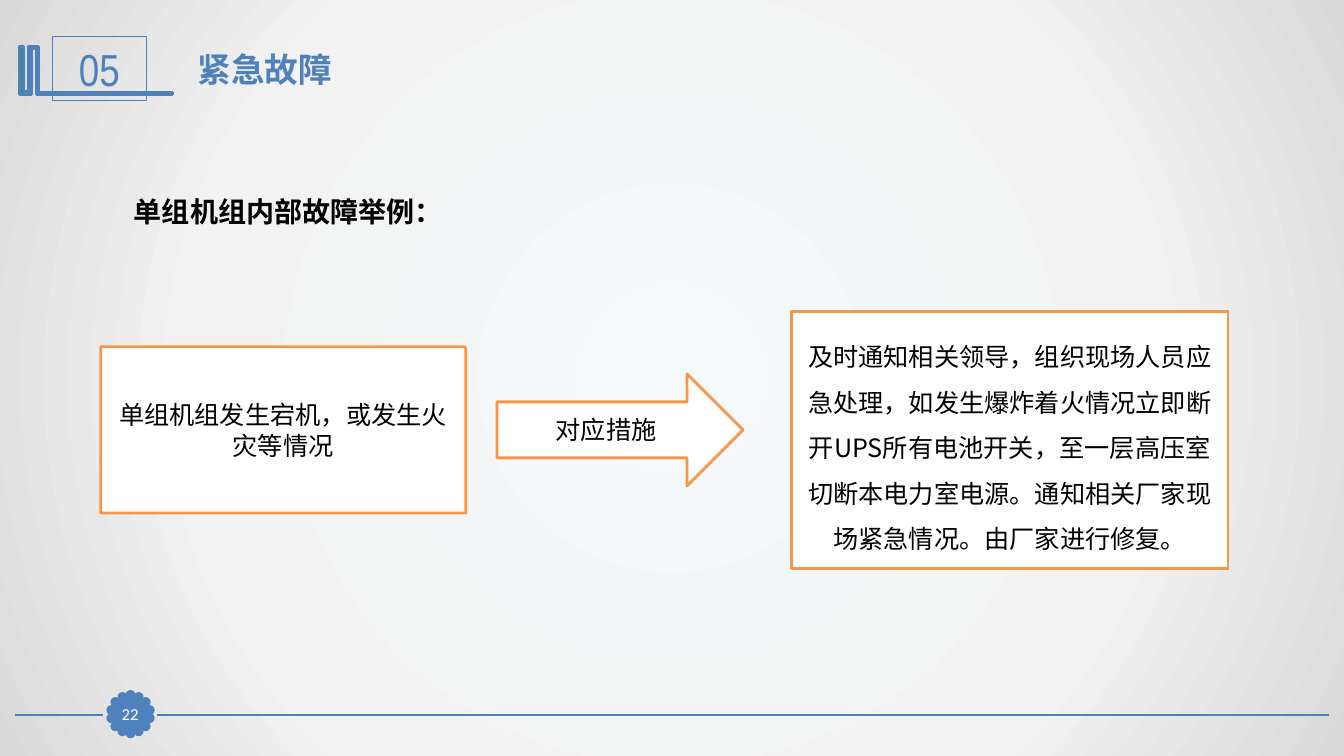
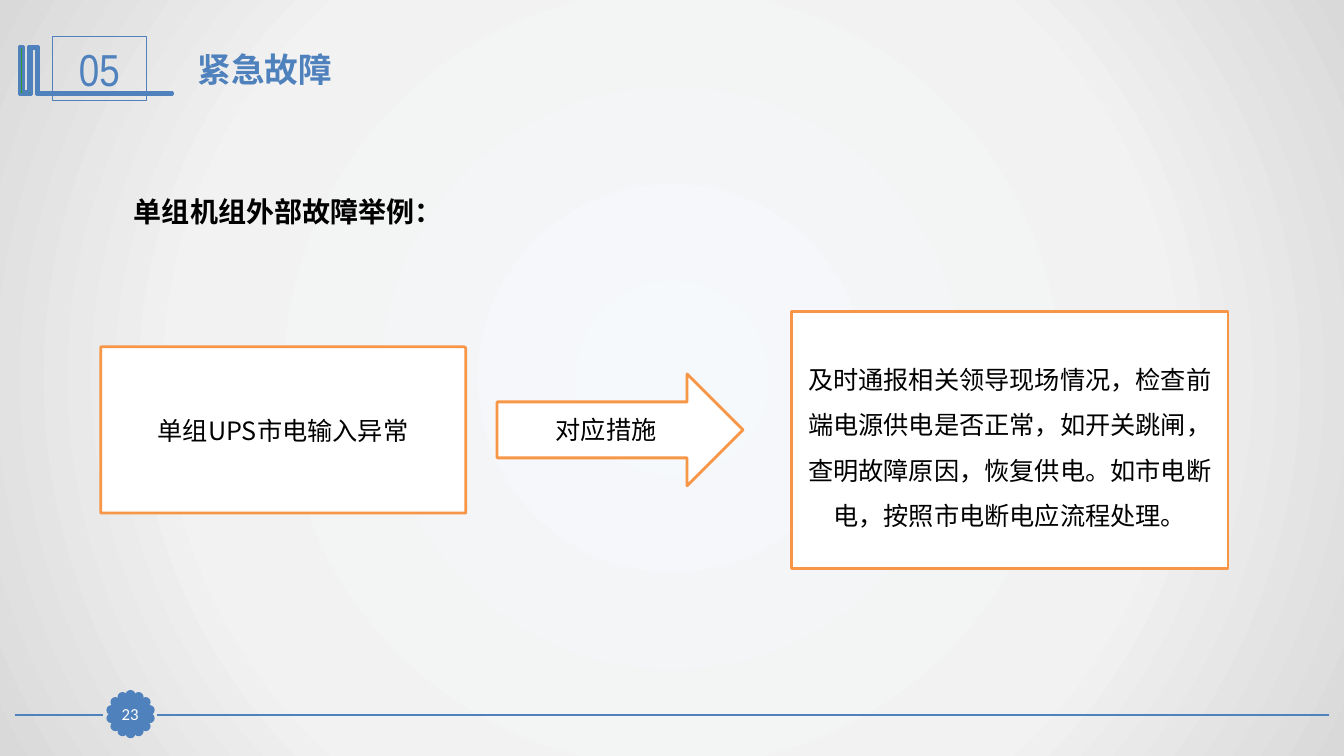
"""Build the two slides on urgent faults, with their frame held in the blank layout."""
import math
from dataclasses import dataclass
from typing import NamedTuple, Optional

import lxml.etree
import pptx
import pptx.dml.color
import pptx.enum.lang
import pptx.enum.shapes
import pptx.enum.text
import pptx.oxml
import pptx.oxml.ns
import pptx.util

SCALE = 9144
KIND = pptx.enum.shapes.MSO_SHAPE
ALIGN = pptx.enum.text.PP_ALIGN
LANG = pptx.enum.lang.MSO_LANGUAGE_ID


class Style(NamedTuple):
    """Hold the look of one kind of text."""
    size: int
    font: str
    ink: str
    bold: bool = False
    align: Optional[ALIGN] = ALIGN.CENTER
    space: Optional[float] = None


@dataclass(frozen=True)
class Theme:
    """Hold the colours and type styles."""
    blue: str = "4F81BD"
    orange: str = "F79646"
    green: str = "339933"
    white: str = "FFFFFF"
    glow: tuple = ((0, "F6F9FC"), (63, "F2F2F2"), (100, "D9D9D9"))
    asian: str = "Noto Sans CJK SC"
    title: Style = Style(24, "Calibri", "4F81BD", True, None)
    topic: Style = Style(20, "Calibri", "000000", True, None, 2.0)
    mark: Style = Style(32, "Arial Narrow", "4F81BD")
    page: Style = Style(12, "Calibri", "FFFFFF")
    body: Style = Style(18, "Noto Sans CJK SC", "000000")
    loose: Style = Style(18, "Noto Sans CJK SC", "000000", space=1.5)


@dataclass(frozen=True)
class Box:
    """Hold the place and paint of one shape."""
    kind: KIND
    left: int
    top: int
    width: int
    height: int
    fill: Optional[str]
    line: str
    weight: float
    bend: Optional[float] = None


class Case(NamedTuple):
    """Hold the words of one slide."""
    page: int
    topic: str
    fault: str
    action: str


THEME = Theme()
MARK = Box(KIND.RECTANGLE, 52, 36, 93, 64, None, THEME.blue, 0.75)
PAGE = Box(KIND.RECTANGLE, 113, 693, 32, 31, THEME.blue, THEME.blue, 0.75)
FAULT = Box(KIND.ROUND_1_RECTANGLE, 100, 344, 362, 165, THEME.white, THEME.orange, 2, 0.013)
ARROW = Box(KIND.RIGHT_ARROW, 493, 371, 244, 111, THEME.white, THEME.orange, 2)
ACTION = Box(KIND.ROUND_1_RECTANGLE, 785, 309, 433, 255, THEME.white, THEME.orange, 2, 0)
DOTS = 14
RING = 19
RULES = ((1318, 156), (102, 15))
BOOKS = ((37, 46), (38, 46), (38, 92), (171, 92), (171, 94), (36, 94), (36, 48),
         (31, 48), (31, 94), (19, 94), (19, 46), (23, 46), (23, 91), (28, 91), (28, 46))
CASES = (
    Case(22, "单组机组内部故障举例：", "单组机组发生宕机，或发生火灾等情况",
         "及时通知相关领导，组织现场人员应急处理，如发生爆炸着火情况立即断开UPS所有电池开关，"
         "至一层高压室切断本电力室电源。通知相关厂家现场紧急情况。由厂家进行修复。"),
    Case(23, "单组机组外部故障举例：", "单组UPS市电输入异常",
         "及时通报相关领导现场情况，检查前端电源供电是否正常，如开关跳闸，查明故障原因，"
         "恢复供电。如市电断电，按照市电断电应流程处理。"),
)


def px(size: int) -> pptx.util.Emu:
    """Turn px into EMU."""
    return pptx.util.Emu(size * SCALE)


def tint(code: str) -> pptx.dml.color.RGBColor:
    """Turn a hex code into a colour."""
    return pptx.dml.color.RGBColor.from_string(code)


def paint(shape, fill: Optional[str], line: str, weight: float) -> None:
    """Set the fill and line of a shape without a shadow."""
    shape.shadow.inherit = False
    if fill:
        shape.fill.solid()
        shape.fill.fore_color.rgb = tint(fill)
    else:
        shape.fill.background()
    shape.line.color.rgb = tint(line)
    shape.line.width = pptx.util.Pt(weight)


def write(shape, text: str, style: Style, grow: bool = False) -> None:
    """Put styled text in a shape."""
    frame = shape.text_frame
    frame.word_wrap = True
    if grow:
        frame.auto_size = pptx.enum.text.MSO_AUTO_SIZE.SHAPE_TO_FIT_TEXT
    frame.text = text
    for para in frame.paragraphs:
        para.alignment = style.align
        para.line_spacing = style.space
        for run in para.runs:
            font = run.font
            font.size = pptx.util.Pt(style.size)
            font.bold = style.bold
            font.color.rgb = tint(style.ink)
            font.name = style.font
            font.language_id = LANG.SIMPLIFIED_CHINESE
    for props in shape.element.iter(pptx.oxml.ns.qn("a:rPr")):
        lxml.etree.SubElement(props, pptx.oxml.ns.qn("a:ea"), typeface=THEME.asian)


def draw(slide, box: Box):
    """Draw one box and return it."""
    shape = slide.shapes.add_shape(
        box.kind, px(box.left), px(box.top), px(box.width), px(box.height))
    if box.bend is not None:
        shape.adjustments[0] = box.bend
    paint(shape, box.fill, box.line, box.weight)
    shape.text_frame.vertical_anchor = pptx.enum.text.MSO_ANCHOR.MIDDLE
    return shape


def label(slide, left: int, top: int, width: int, height: int, text: str, style: Style) -> None:
    """Add a text box."""
    shape = slide.shapes.add_textbox(px(left), px(top), px(width), px(height))
    write(shape, text, style, True)


def rule(slide, start: int, end: int) -> None:
    """Draw a level footer line."""
    line = slide.shapes.add_connector(
        pptx.enum.shapes.MSO_CONNECTOR.STRAIGHT, px(start), px(709), px(end), px(709))
    line.line.color.rgb = tint(THEME.blue)
    line.line.width = pptx.util.Pt(1.25)
    props = line.element.find(pptx.oxml.ns.qn("p:spPr"))
    lxml.etree.SubElement(props, pptx.oxml.ns.qn("a:effectLst"))


def glow(layout) -> None:
    """Give the layout a round gradient ground."""
    stops = "".join(f'<a:gs pos="{at * 1000}"><a:srgbClr val="{code}"/></a:gs>'
                    for at, code in THEME.glow)
    space = pptx.oxml.ns.nsdecls("p", "a")
    ground = pptx.oxml.parse_xml(
        f'<p:bg {space}><p:bgPr><a:gradFill rotWithShape="1"><a:gsLst>{stops}</a:gsLst>'
        '<a:path path="circle"><a:fillToRect l="50000" t="50000" r="50000" b="50000"/></a:path>'
        '</a:gradFill><a:effectLst/></p:bgPr></p:bg>')
    layout.element.cSld.insert(0, ground)


def frame(slide, layout) -> None:
    """Draw the shared parts and move them to the layout."""
    for start, end in RULES:
        rule(slide, start, end)
    for step in range(DOTS):
        turn = math.tau * step / DOTS
        left = round(126 + RING * math.sin(turn))
        top = round(705 - RING * math.cos(turn))
        draw(slide, Box(KIND.OVAL, left, top, 7, 7, THEME.blue, THEME.blue, 2))
    pen = slide.shapes.build_freeform(*BOOKS[0], scale=SCALE)
    pen.add_line_segments(BOOKS[1:], close=True)
    paint(pen.convert_to_shape(), THEME.green, THEME.blue, 2)
    write(draw(slide, MARK), "05", THEME.mark, True)
    for shape in list(slide.shapes):
        layout.element.cSld.spTree.append(shape.element)


def fill(slide, case: Case) -> None:
    """Draw the parts of one case."""
    badge = draw(slide, PAGE)
    text = badge.text_frame
    text.margin_left = text.margin_right = text.margin_top = text.margin_bottom = 0
    write(badge, str(case.page), THEME.page)
    write(draw(slide, FAULT), case.fault, THEME.body)
    write(draw(slide, ARROW), "对应措施", THEME.body)
    write(draw(slide, ACTION), case.action, THEME.loose)
    label(slide, 123, 155, 559, 77, case.topic, THEME.topic)
    label(slide, 186, 44, 969, 50, "紧急故障", THEME.title)


def main() -> None:
    """Build and save the deck."""
    deck = pptx.Presentation()
    deck.slide_width, deck.slide_height = px(1333), px(750)
    layout = deck.slide_layouts[6]
    for spare in list(layout.placeholders):
        spare.element.getparent().remove(spare.element)
    glow(layout)
    slides = [deck.slides.add_slide(layout) for _ in CASES]
    frame(slides[0], layout)
    for slide, case in zip(slides, CASES):
        fill(slide, case)
    deck.save("out.pptx")


if __name__ == "__main__":
    main()
